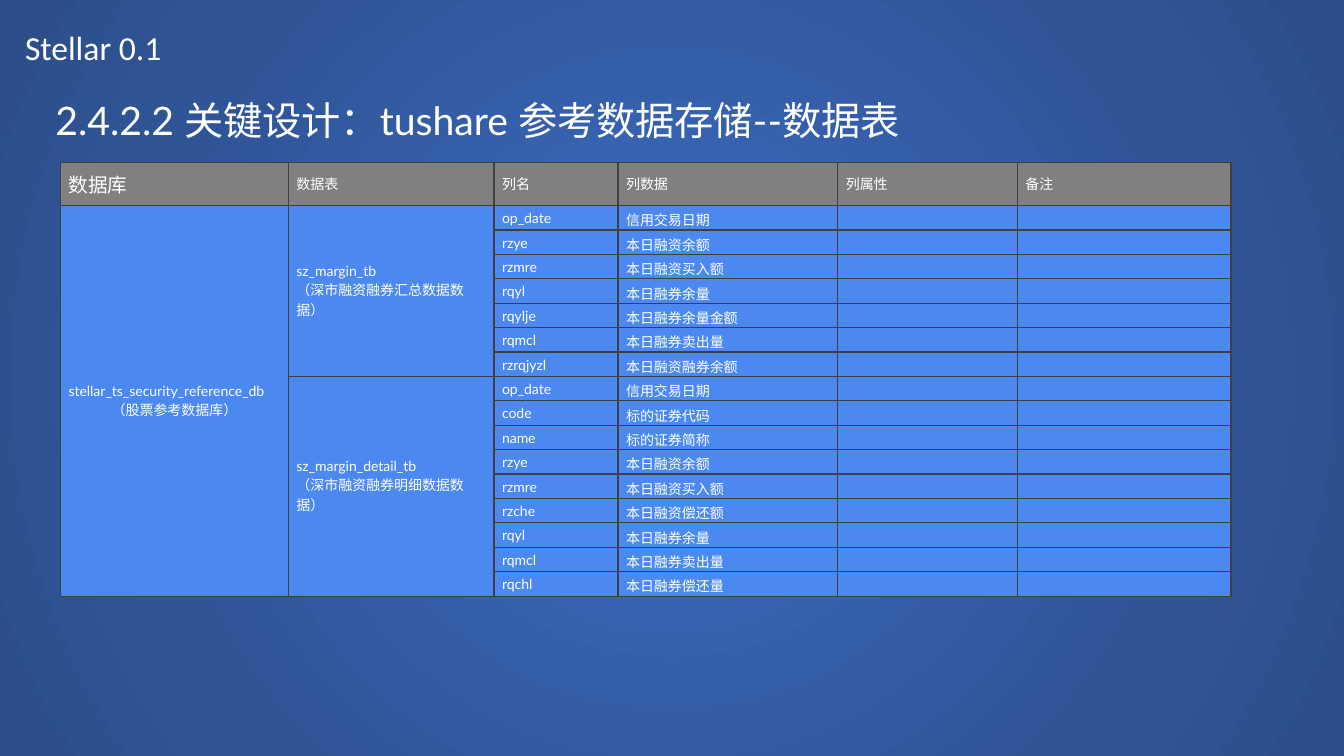
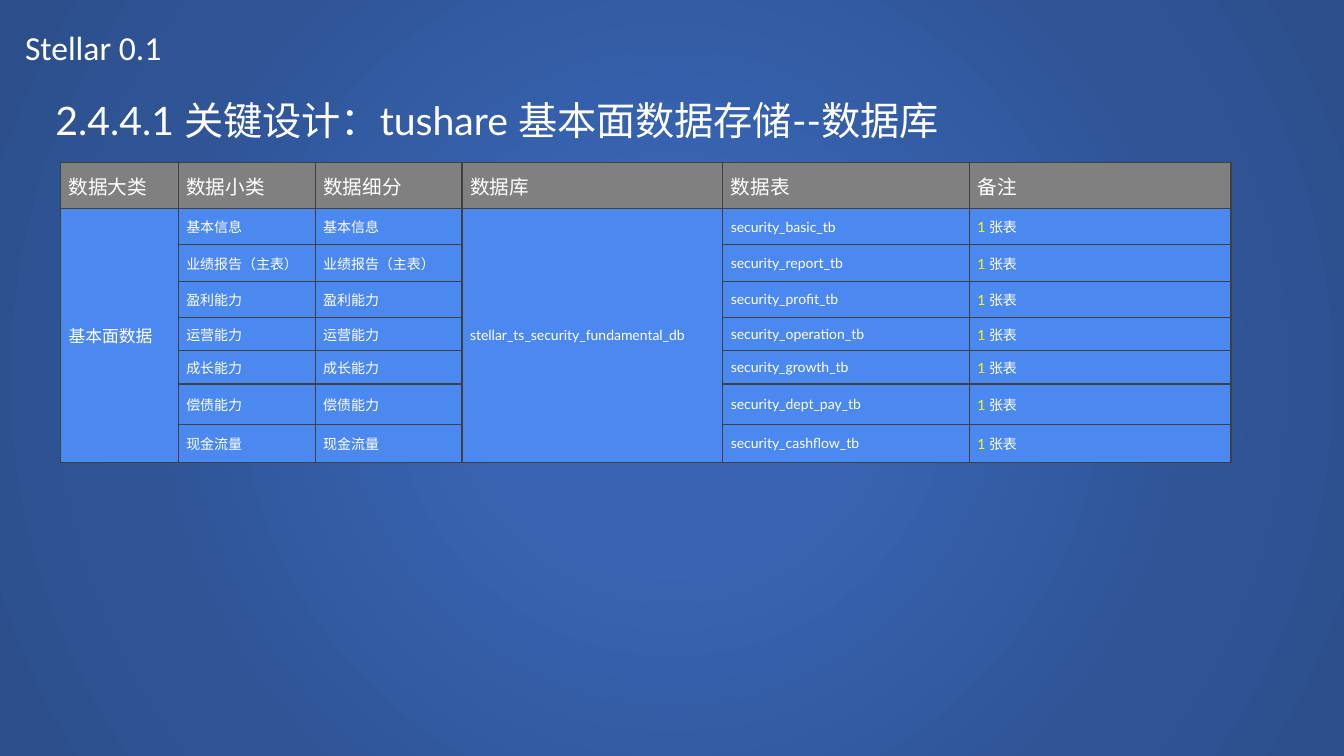
from lxml import etree
from pptx import Presentation
from pptx.dml.color import RGBColor
from pptx.enum import shapes, text
from pptx.oxml import parse_xml
from pptx.oxml.ns import nsdecls, qn
from pptx.util import Inches, Pt

WHITE = RGBColor(0xFF, 0xFF, 0xFF)
YELLOW = RGBColor(0xFF, 0xFF, 0x00)
GREY = RGBColor(0x80, 0x80, 0x80)
BLUE = RGBColor(0x4B, 0x89, 0xF0)
EDGE = RGBColor(0x40, 0x40, 0x40)
GLOW = [(0, RGBColor(0x38, 0x64, 0xB3)), (23, RGBColor(0x38, 0x64, 0xB3)),
        (69, RGBColor(0x2F, 0x55, 0x97)), (97, RGBColor(0x2C, 0x4F, 0x8C))]
WIDE, HIGH = 13.33, 7.5
LEFT, TOP, SPAN = 0.6, 1.61, 11.61

MARGIN = [("op_date", "信用交易日期"), ("rzye", "本日融资余额"),
          ("rzmre", "本日融资买入额"), ("rqyl", "本日融券余量"),
          ("rqylje", "本日融券余量金额"), ("rqmcl", "本日融券卖出量"),
          ("rzrqjyzl", "本日融资融券余额")]
DETAIL = [("op_date", "信用交易日期"), ("code", "标的证券代码"),
          ("name", "标的证券简称"), ("rzye", "本日融资余额"),
          ("rzmre", "本日融资买入额"), ("rzche", "本日融资偿还额"),
          ("rqyl", "本日融券余量"), ("rqmcl", "本日融券卖出量"),
          ("rqchl", "本日融券偿还量")]
BASICS = [("基本信息", "basic"), ("业绩报告（主表）", "report"),
          ("盈利能力", "profit"), ("运营能力", "operation"),
          ("成长能力", "growth"), ("偿债能力", "dept_pay"),
          ("现金流量", "cashflow")]


def style(para, size, face="Lato"):
    para.font.size = Pt(size)
    para.font.name = face
    para.font.color.rgb = WHITE


def backdrop(slide):
    """Fill the slide with a radial glow, behind everything else."""
    rect = slide.shapes.add_shape(shapes.MSO_SHAPE.RECTANGLE, 0, 0,
                                  Inches(WIDE), Inches(HIGH))
    rect.shadow.inherit = False
    rect.line.fill.background()
    stops = "".join(f'<a:gs pos="{pos * 1000}"><a:srgbClr val="{color}"/></a:gs>'
                    for pos, color in GLOW)
    geom = rect._element.spPr.find(qn("a:prstGeom"))
    geom.addnext(parse_xml(
        f'<a:gradFill {nsdecls("a")} rotWithShape="1"><a:gsLst>{stops}</a:gsLst>'
        '<a:path path="circle"><a:fillToRect l="50000" t="50000" r="50000" '
        'b="50000"/></a:path></a:gradFill>'))
    slide.shapes._spTree.insert(2, rect._element)


def heading(shape, words, box, size, face):
    shape.left, shape.top, shape.width, shape.height = map(Inches, box)
    frame = shape.text_frame
    frame.text = words
    frame.word_wrap = True
    frame.auto_size = text.MSO_AUTO_SIZE.NONE
    frame.vertical_anchor = text.MSO_ANCHOR.TOP
    para = frame.paragraphs[0]
    para.alignment = text.PP_ALIGN.LEFT
    style(para, size, face)


def start(deck, title):
    """Add a slide with the shared backdrop, product line and title."""
    slide = deck.slides.add_slide(deck.slide_layouts[5])
    backdrop(slide)
    label = slide.shapes.add_textbox(0, 0, 0, 0)
    heading(label, "Stellar 0.1", (0.15, 0.22, 5.04, 0.5), 24, "Calibri")
    heading(slide.shapes.title, title, (0.45, 0.91, 11.77, 0.57), 28, "Lato")
    return slide


def border(cell):
    props = cell._tc.get_or_add_tcPr()
    for side in ("lnL", "lnR", "lnT", "lnB"):
        props.append(parse_xml(
            f'<a:{side} {nsdecls("a")} w="12700"><a:solidFill>'
            f'<a:srgbClr val="{EDGE}"/></a:solidFill></a:{side}>'))


def write(cell, words, size, fill):
    """Fill a cell; words is a string or a list of (text, colour) runs."""
    border(cell)
    cell.fill.solid()
    cell.fill.fore_color.rgb = fill
    cell.vertical_anchor = text.MSO_ANCHOR.MIDDLE
    cell.margin_left = cell.margin_right = Inches(0.08)
    cell.margin_top = cell.margin_bottom = Inches(0.04)
    if isinstance(words, str):
        cell.text = words
    else:
        for part, color in words:
            run = cell.text_frame.paragraphs[0].add_run()
            run.text = part
            run.font.color.rgb = color
    for para in cell.text_frame.paragraphs:
        style(para, size)
        if not words:
            end = etree.SubElement(para._p, qn("a:endParaRPr"))
            end.set("sz", str(size * 100))


def grid(slide, cols, rows, data, sizes, spans):
    """Add a table; sizes holds text sizes other than 10, spans (row, col, last row)."""
    table = slide.shapes.add_table(
        len(rows), len(cols), Inches(LEFT), Inches(TOP),
        Inches(SPAN), Inches(sum(rows))).table
    table.first_row = table.horz_banding = False
    for col, width in zip(table.columns, cols):
        col.width = Inches(width * SPAN / sum(cols))
    for row, height in zip(table.rows, rows):
        row.height = Inches(height)
    for r, line in enumerate(data):
        for c, words in enumerate(line):
            write(table.cell(r, c), words, sizes.get((r, c), 10),
                  BLUE if r else GREY)
    for r, c, last in spans:
        table.cell(r, c).merge(table.cell(last, c))
    return table


def tighten(table, first):
    """Trim the lower margins of the body cells from column first on."""
    for r in range(1, len(table.rows)):
        for c in range(first, len(table.columns)):
            cell = table.cell(r, c)
            cell.margin_bottom = Inches(0.03 if c == first else 0)


def columns(deck):
    slide = start(deck, "2.4.2.2 关键设计：tushare 参考数据存储--数据表")
    data = [["数据库", "数据表", "列名", "列数据", "列属性", "备注"]]
    data += [["", "", name, note, "", ""] for name, note in MARGIN + DETAIL]
    split, last = len(MARGIN) + 1, len(data) - 1
    data[1][0] = "stellar_ts_security_reference_db\n（股票参考数据库）"
    data[1][1] = "sz_margin_tb\n（深市融资融券汇总数据数据）"
    data[split][1] = "sz_margin_detail_tb\n（深市融资融券明细数据数据）"
    head, total = 0.43, 4.31
    rows = [head] + [(total - head) / last] * last
    table = grid(slide, [2.26, 2.04, 1.23, 2.18, 1.78, 2.12], rows, data,
                 {(0, 0): 14}, [(1, 0, last), (1, 1, split - 1), (split, 1, last)])
    tighten(table, 2)
    table.cell(1, 0).text_frame.paragraphs[1].alignment = text.PP_ALIGN.CENTER


def stores(deck):
    slide = start(deck, "2.4.4.1 关键设计：tushare 基本面数据存储--数据库")
    data = [["数据大类", "数据小类", "数据细分", "数据库", "数据表", "备注"]]
    count = [("1 ", YELLOW), ("张表", WHITE)]
    data += [["", kind, kind, "", f"security_{name}_tb", count]
             for kind, name in BASICS]
    data[1][0] = "基本面数据"
    data[1][3] = "stellar_ts_security_fundamental_db"
    last = len(BASICS)
    sizes = {(0, c): 14 for c in range(6)}
    sizes[1, 0] = 12
    grid(slide, [1.17, 1.36, 1.46, 2.59, 2.45, 2.6],
         [0.46, 0.36, 0.36, 0.36, 0.33, 0.33, 0.4, 0.38], data,
         sizes, [(1, 0, last), (1, 3, last)])


def main():
    deck = Presentation()
    deck.slide_width, deck.slide_height = Inches(WIDE), Inches(HIGH)
    columns(deck)
    stores(deck)
    deck.save("out.pptx")


if __name__ == "__main__":
    main()
